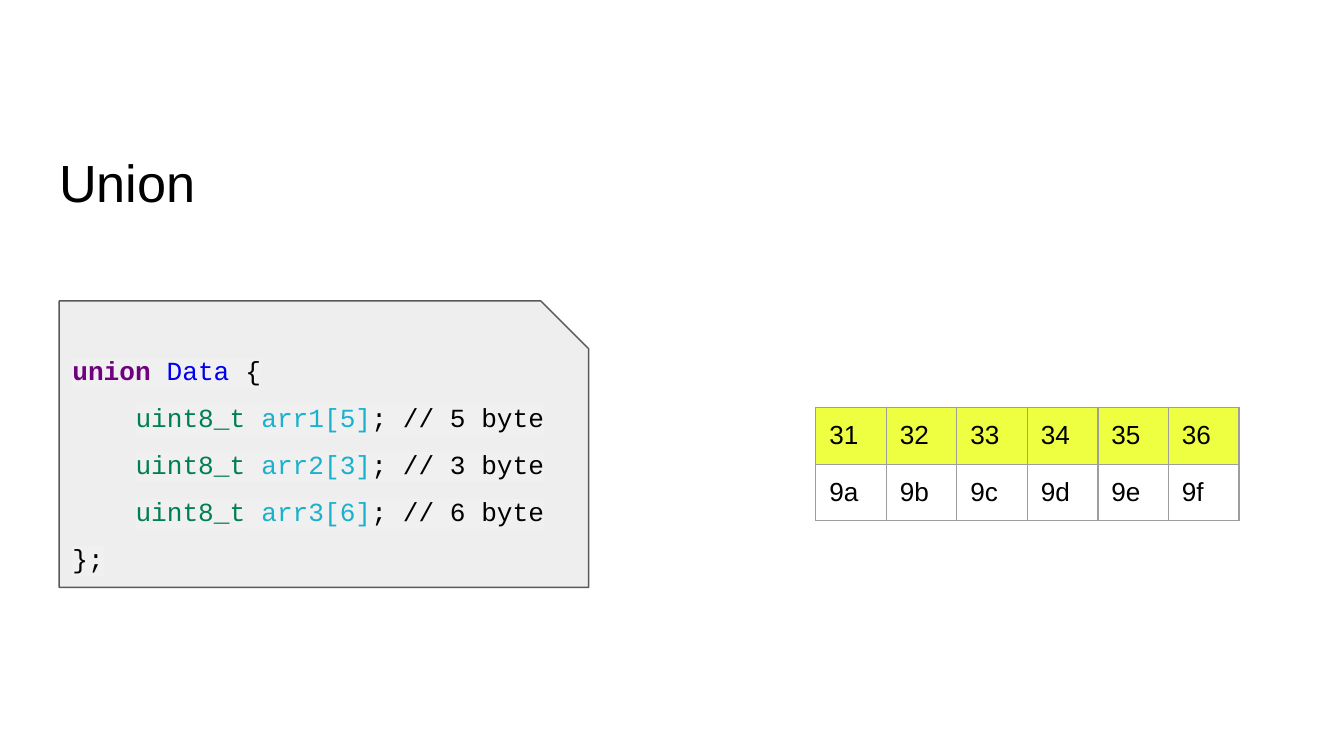
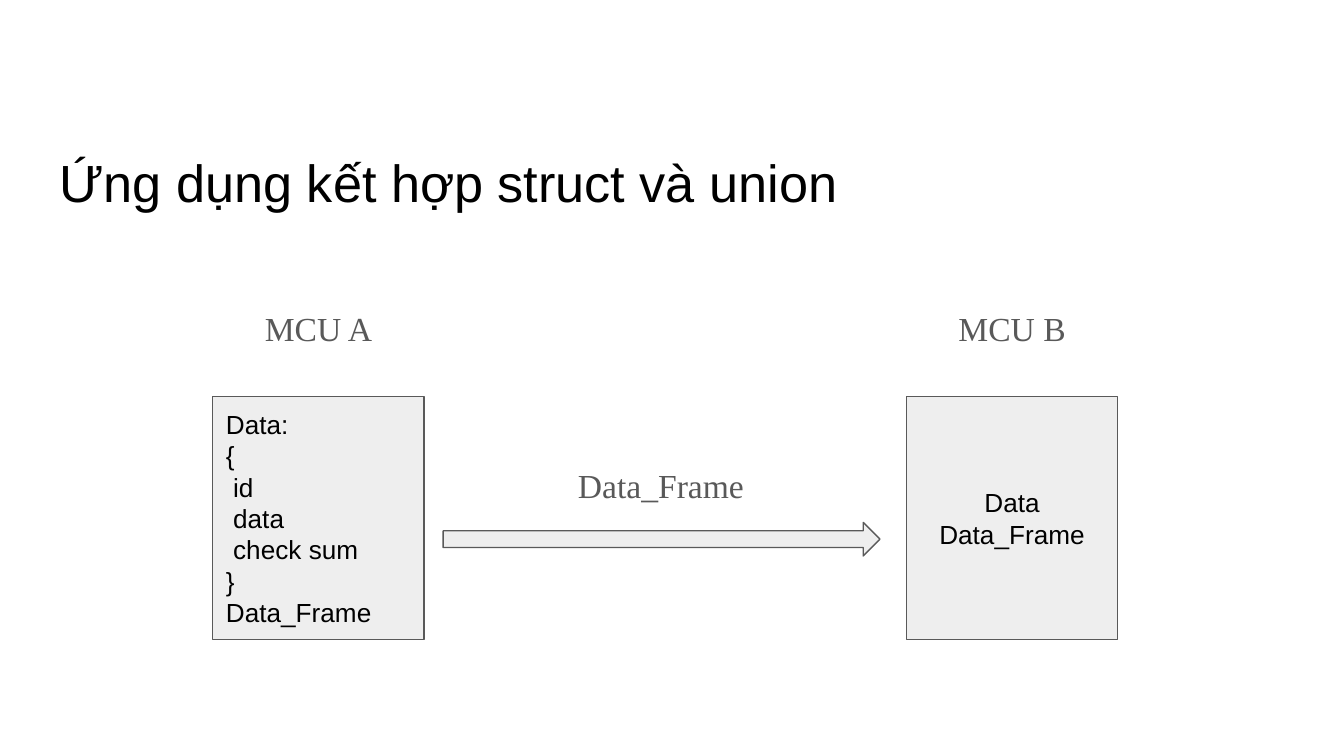
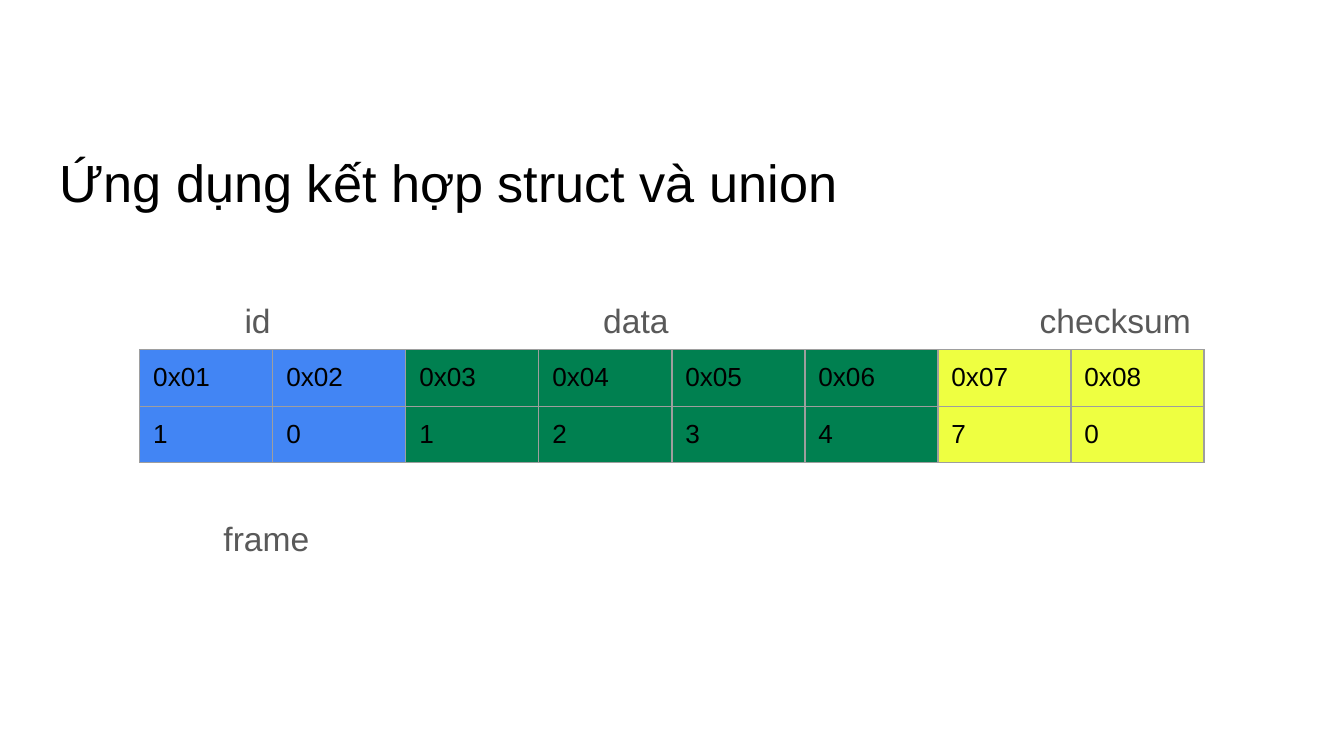
from dataclasses import dataclass

from lxml.etree import SubElement
from pptx import Presentation
from pptx.dml.color import RGBColor
from pptx.enum.shapes import MSO_SHAPE as Shape
from pptx.enum.text import MSO_ANCHOR as Anchor, MSO_AUTO_SIZE as AutoSize, PP_ALIGN as Align
from pptx.oxml.ns import qn
from pptx.util import Emu, Inches, Pt


@dataclass(frozen=True)
class Theme:
    black: str = "000000"
    gray: str = "595959"
    panel: str = "EEEEEE"
    grid: str = "9E9E9E"
    white: str = "FFFFFF"
    yellow: str = "EEFF41"
    blue: str = "4285F4"
    green: str = "008050"
    purple: str = "700080"
    navy: str = "0000F0"
    cyan: str = "1AB1CD"
    highlight: str = "F0F0F0"
    sans: str = "Arial"
    serif: str = "Times New Roman"
    mono: str = "Courier New"
    title_size: int = 28
    label_size: int = 18
    body_size: int = 14
    line_width: float = 0.75
    inset: float = 0.1
    code_indent: float = 0.47


THEME = Theme()
MARGINS = {f"margin_{side}": Inches(THEME.inset) for side in ("left", "top", "right", "bottom")}


@dataclass(frozen=True)
class Box:
    """A rectangle in inches."""
    left: float
    top: float
    width: float
    height: float

    def share(self, left, top, width, height):
        """A box inside this one, given in percent of its size."""
        return Box(self.left + self.width * left / 100, self.top + self.height * top / 100,
                   self.width * width / 100, self.height * height / 100)

    def place(self):
        return [Inches(v) for v in (self.left, self.top, self.width, self.height)]


PAGE = Box(0, 0, 10, 5.625)


# Shared formatting

def set_all(target, values):
    for name, value in values.items():
        setattr(target, name, value)


def add_span(para, text, color=THEME.black, size=THEME.body_size, font=THEME.sans, bold=False):
    span = para.add_run()
    span.text = text
    set_all(span.font, {"name": font, "size": Pt(size), "bold": bold})
    span.font.color.rgb = RGBColor.from_string(color)
    return span


def format_frame(frame, anchor=Anchor.TOP):
    set_all(frame, {**MARGINS, "word_wrap": True, "auto_size": AutoSize.NONE,
                    "vertical_anchor": anchor})


def write_lines(frame, lines, align=Align.LEFT, **style):
    for number, line in enumerate(lines):
        para = frame.add_paragraph() if number else frame.paragraphs[0]
        para.alignment = align
        add_span(para, line, **style)


def add_panel(page, box, kind):
    panel = page.shapes.add_shape(kind, *box.place())
    panel.shadow.inherit = False
    panel.fill.solid()
    panel.fill.fore_color.rgb = RGBColor.from_string(THEME.panel)
    panel.line.color.rgb = RGBColor.from_string(THEME.gray)
    panel.line.width = Pt(THEME.line_width)
    return panel


def add_label(page, box, text, align=Align.LEFT, font=THEME.sans):
    frame = page.shapes.add_textbox(*box.place()).text_frame
    format_frame(frame)
    write_lines(frame, [text], align, color=THEME.gray, size=THEME.label_size, font=font)


def add_titled_page(deck, text):
    page = deck.slides.add_slide(deck.slide_layouts[5])
    title = page.shapes.title
    places = PAGE.share(3.4, 14.4, 93.2, 15.5).place()
    set_all(title, dict(zip(("left", "top", "width", "height"), places)))
    format_frame(title.text_frame, Anchor.BOTTOM)
    write_lines(title.text_frame, [text], size=THEME.title_size)
    return page


# Byte tables

def add_borders(cell):
    props = cell._tc.get_or_add_tcPr()
    for side in ("lnL", "lnR", "lnT", "lnB"):
        line = SubElement(props, qn(f"a:{side}"), w=str(Pt(THEME.line_width)))
        SubElement(SubElement(line, qn("a:solidFill")), qn("a:srgbClr"), val=THEME.grid)


def add_byte_table(page, box, rows, fill_of):
    table = page.shapes.add_table(len(rows), len(rows[0]), *box.place()).table
    set_all(table, {"first_row": False, "horz_banding": False})
    for column in table.columns:
        column.width = Emu(Inches(box.width) // len(rows[0]))
    for r, values in enumerate(rows):
        table.rows[r].height = Emu(Inches(box.height) // len(rows))
        for c, value in enumerate(values):
            cell = table.cell(r, c)
            set_all(cell, MARGINS)
            add_borders(cell)
            cell.fill.solid()
            cell.fill.fore_color.rgb = RGBColor.from_string(fill_of(r, c))
            write_lines(cell.text_frame, [value])


# Code panel

def add_code_span(para, text, color=THEME.black, bold=False):
    span = add_span(para, text, color, font=THEME.mono, bold=bold)
    props = span._r.get_or_add_rPr()
    mark = SubElement(props, qn("a:highlight"))
    SubElement(mark, qn("a:srgbClr"), val=THEME.highlight)
    props.find(qn("a:solidFill")).addnext(mark)


def add_union_code(page, box, fields):
    panel = add_panel(page, box, Shape.SNIP_1_RECTANGLE)
    panel.adjustments[0] = 0.167
    frame = panel.text_frame
    format_frame(frame)
    opening = [("union", THEME.purple, True), (" ",), ("Data", THEME.navy), (" {",)]
    members = [[("uint8_t", THEME.green), (" ",), (f"{name}[{size}]", THEME.cyan),
                (f"; // {size} byte",)] for name, size in fields]
    for number, line in enumerate([opening, *members, [("};",)]]):
        para = frame.add_paragraph() if number else frame.paragraphs[0]
        set_all(para, {"alignment": Align.LEFT, "line_spacing": 1.5})
        if 1 <= number <= len(members):
            para._p.get_or_add_pPr().set("marL", str(Inches(THEME.code_indent)))
        for piece in line:
            add_code_span(para, *piece)


# Transfer diagram

def add_mcu(page, box, name, lines, align):
    add_label(page, box.share(0, 0, 100, 24), name, Align.CENTER, THEME.serif)
    node = add_panel(page, box.share(2, 29.6, 96, 70.4), Shape.RECTANGLE)
    format_frame(node.text_frame, Anchor.MIDDLE)
    write_lines(node.text_frame, lines, align)


def add_transfer(page, box):
    add_mcu(page, box.share(0, 0, 24.1, 100), "MCU A",
            ["Data:", "{", " id", " data", " check sum", "}", "Data_Frame"], Align.LEFT)
    add_mcu(page, box.share(75.9, 0, 24.1, 100), "MCU B", ["Data", "Data_Frame"], Align.CENTER)
    add_panel(page, box.share(25.7, 66.1, 47.8, 9.7), Shape.RIGHT_ARROW)
    add_label(page, box.share(39, 45.5, 22.4, 17.1), "Data_Frame", font=THEME.serif)


# Frame layout

def add_frame_layout(page, box):
    fills = [THEME.blue] * 2 + [THEME.green] * 4 + [THEME.yellow] * 2
    rows = [[f"0x{number:02}" for number in range(1, 9)], list("10123470")]
    add_byte_table(page, box.share(0, 21.2, 100, 37.8), rows, lambda r, c: fills[c])
    for text, left in (("id", 8.6), ("data", 42.3), ("checksum", 83.3)):
        add_label(page, box.share(left, 0, 18.8, 13.1), text)
    add_label(page, box.share(-1, 73, 25.8, 27), "frame", Align.CENTER)


# Slides

def build_union_page(deck):
    page = add_titled_page(deck, "Union")
    add_union_code(page, PAGE.share(4.4, 39.8, 39.4, 37.9),
                   [("arr1", 5), ("arr2", 3), ("arr3", 6)])
    rows = [[f"3{digit}" for digit in range(1, 7)], [f"9{digit}" for digit in "abcdef"]]
    add_byte_table(page, PAGE.share(60.7, 53.9, 31.5, 15), rows,
                   lambda r, c: (THEME.yellow, THEME.white)[r])


def main():
    deck = Presentation()
    set_all(deck, {"slide_width": Inches(PAGE.width), "slide_height": Inches(PAGE.height)})
    build_union_page(deck)
    combined = "Ứng dụng kết hợp struct và union"
    add_transfer(add_titled_page(deck, combined), PAGE.share(15.5, 38.9, 68, 45.7))
    add_frame_layout(add_titled_page(deck, combined), PAGE.share(10.4, 37.9, 79.2, 39.5))
    deck.save("out.pptx")


if __name__ == "__main__":
    main()
